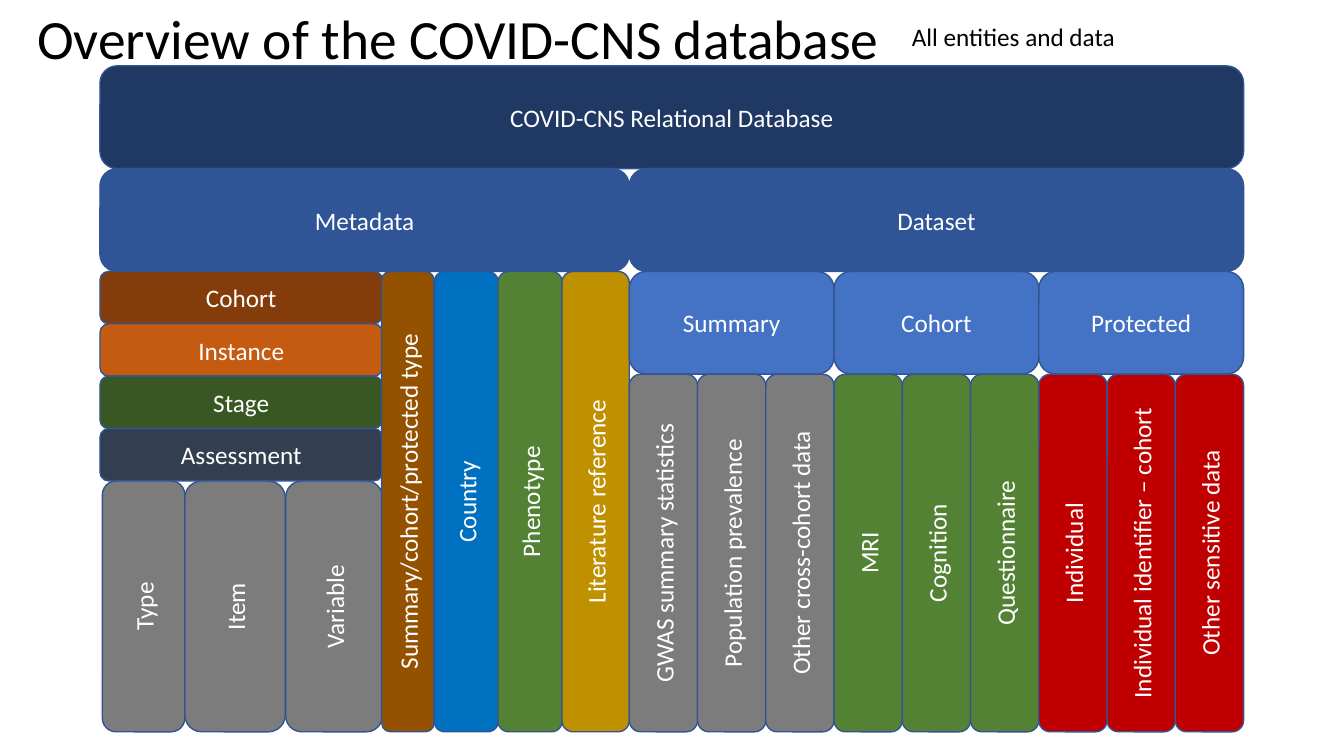
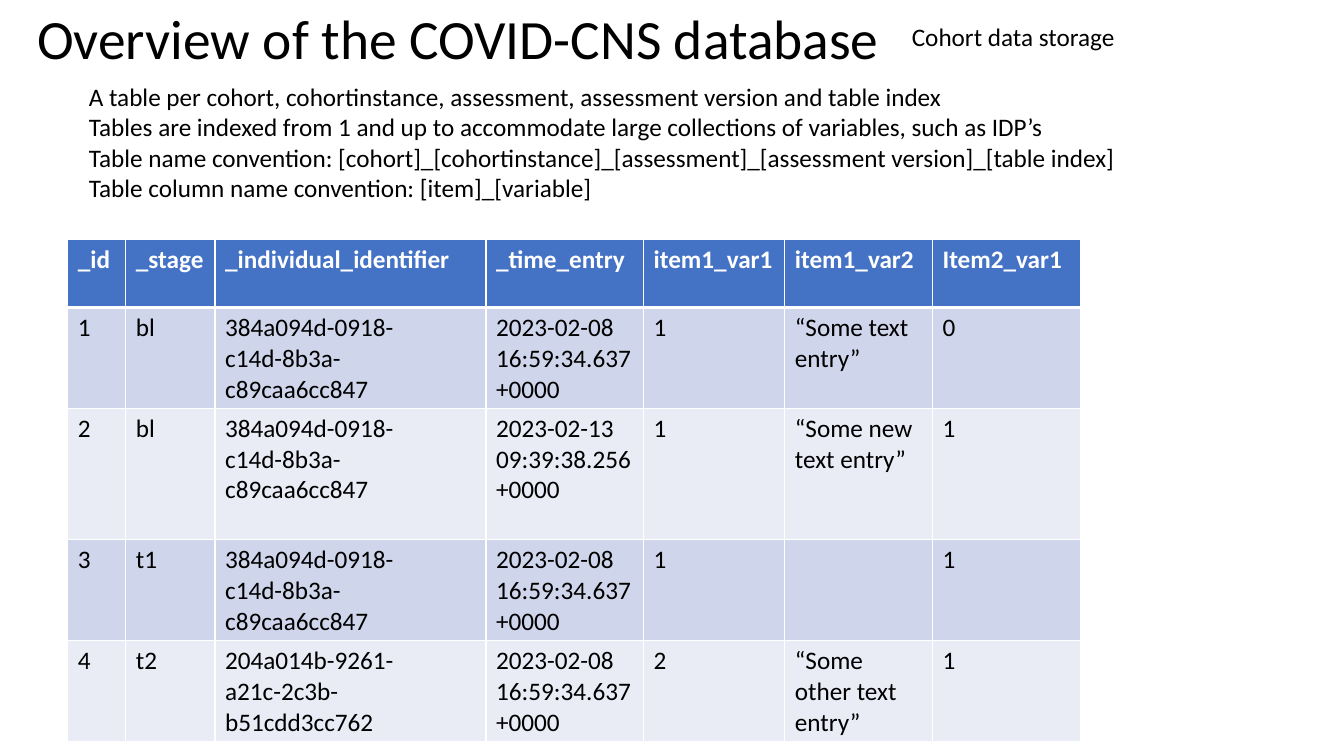
from lxml import etree
from pptx import Presentation
from pptx import util as u
from pptx.dml import color
from pptx.enum import shapes, text

HUES = {
    "black": "000000", "white": "FFFFFF", "edge": "325491",
    "navy": "203864", "blue": "2F5597", "sky": "4472C4", "azure": "0070C0",
    "rust": "843C0B", "orange": "C55A11", "pine": "385723", "slate": "333F50",
    "grey": "7C7C7C", "brown": "945200", "green": "548235", "gold": "BF9000",
    "red": "C00000", "dark": "CFD5EA", "light": "E9EBF5",
}
RGB = {name: color.RGBColor.from_string(code) for name, code in HUES.items()}
MID = text.MSO_ANCHOR.MIDDLE


def write(par, words, hue="black", size=18, bold=False):
    for num, line in enumerate(words.split("\n")):
        if num:
            par.add_line_break()
        run = par.add_run()
        run.text = line
        run.font.name = "Calibri"
        run.font.size = u.Pt(size)
        run.font.bold = bold
        run.font.color.rgb = RGB[hue]


def block(x, y, wide, high, words, hue, turn=False):
    if turn:
        x, y = x + (wide - high) / 2, y + (high - wide) / 2
        wide, high = high, wide
    box = slide.shapes.add_shape(shapes.MSO_SHAPE.ROUNDED_RECTANGLE,
                                 u.Cm(x), u.Cm(y), u.Cm(wide), u.Cm(high))
    box.rotation = 270 if turn else 0
    box.shadow.inherit = False
    box.fill.solid()
    box.fill.fore_color.rgb = RGB[hue]
    box.line.color.rgb = RGB["edge"]
    box.line.width = u.Pt(1)
    box.text_frame.vertical_anchor = MID
    par = box.text_frame.paragraphs[0]
    par.alignment = text.PP_ALIGN.CENTER
    write(par, words, "white")


deck = Presentation()
deck.slide_width, deck.slide_height = u.Cm(33.87), u.Cm(19.05)

pages = []
for topic in ["All entities and data", "Cohort data storage"]:
    slide = deck.slides.add_slide(deck.slide_layouts[6])
    pages.append(slide)
    title = slide.shapes.add_textbox(u.Cm(0.69), u.Cm(0), u.Cm(22.55), u.Cm(2.1)).text_frame
    title.word_wrap = True
    title.vertical_anchor = MID
    title.paragraphs[0].line_spacing = 0.9
    write(title.paragraphs[0], "Overview of the COVID-CNS database", size=39.6)
    label = slide.shapes.add_textbox(u.Cm(22.73), u.Cm(0.42), u.Cm(11), u.Cm(1.02)).text_frame
    label.word_wrap = True
    write(label.paragraphs[0], topic)

slide = pages[0]
LEFT, HALF, RIGHT = 2.52, 15.86, 31.34
TOP, TIER, BASE = 1.66, 2.59, 18.44
block(LEFT, TOP, RIGHT - LEFT, TIER, "COVID-CNS Relational Database", "navy")
block(LEFT, TOP + TIER, HALF - LEFT, TIER, "Metadata", "blue")
block(HALF, TOP + TIER, RIGHT - HALF, TIER, "Dataset", "blue")

third = TOP + 2 * TIER
step, span = 1.32, 7.12
levels = [("Cohort", "rust"), ("Instance", "orange"), ("Stage", "pine"), ("Assessment", "slate")]
for row, (words, hue) in enumerate(levels):
    block(LEFT, third + row * step, span, step, words, hue)

leaf = third + len(levels) * step
metas = [
    ("Type", "grey", 2.58, 2.08, leaf), ("Item", "grey", 4.66, 2.53, leaf),
    ("Variable", "grey", 7.2, 2.44, leaf),
    ("Summary/cohort/protected type", "brown", 9.62, 1.32, third),
    ("Country", "azure", 10.94, 1.62, third), ("Phenotype", "green", 12.55, 1.62, third),
    ("Literature reference", "gold", 14.16, 1.7, third),
]
for words, hue, x, wide, y in metas:
    block(x, y, wide, BASE - y, words, hue, True)

groups = [
    ("Summary", "grey", ["GWAS summary statistics", "Population prevalence",
                         "Other cross-cohort data"]),
    ("Cohort", "green", ["MRI", "Cognition", "Questionnaire"]),
    ("Protected", "red", ["Individual", "Individual identifier – cohort",
                          "Other sensitive data"]),
]
group = (RIGHT - HALF) / len(groups)
lower = third + TIER
for num, (head, hue, parts) in enumerate(groups):
    x = HALF + num * group
    block(x, third, group, TIER, head, "sky")
    wide = group / len(parts)
    for col, words in enumerate(parts):
        block(x + col * wide, lower, wide, BASE - lower, words, hue, True)

slide = pages[1]
rows = [
    ["_id", "_stage", "_individual_identifier", "_time_entry",
     "item1_var1", "item1_var2", "Item2_var1"],
    ["1", "bl", "384a094d-0918-c14d-8b3a-c89caa6cc847", "2023-02-08 16:59:34.637 +0000",
     "1", "“Some text entry”", "0"],
    ["2", "bl", "384a094d-0918-c14d-8b3a-c89caa6cc847", "2023-02-13 09:39:38.256 +0000",
     "1", "“Some new text entry”", "1"],
    ["3", "t1", "384a094d-0918-c14d-8b3a-c89caa6cc847", "2023-02-08 16:59:34.637 +0000",
     "1", "", "1"],
    ["4", "t2", "204a014b-9261-a21c-2c3b-b51cdd3cc762", "2023-02-08 16:59:34.637 +0000",
     "2", "“Some other text entry”", "1"],
]
wides = [1.46, 2.25, 6.83, 3.97, 3.56, 3.72, 3.74]
highs = [1.72, 2.54, 3.31, 2.54, 2.54]
grid = slide.shapes.add_table(len(rows), len(wides), u.Cm(1.71), u.Cm(6.03),
                              u.Cm(sum(wides)), u.Cm(sum(highs))).table
for col, wide in zip(grid.columns, wides):
    col.width = u.Cm(wide)
for row, high in zip(grid.rows, highs):
    row.height = u.Cm(high)

NS = "http://schemas.openxmlformats.org/drawingml/2006/main"
for r, row in enumerate(rows):
    for c, words in enumerate(row):
        cell = grid.cell(r, c)
        props = cell._tc.get_or_add_tcPr()
        for side in "LRTB":
            thick = 3 if (r, side) in [(0, "B"), (1, "T")] else 1
            line = etree.SubElement(props, f"{{{NS}}}ln{side}", w=str(u.Pt(thick)))
            fill = etree.SubElement(line, f"{{{NS}}}solidFill")
            etree.SubElement(fill, f"{{{NS}}}srgbClr", val=HUES["white"])
        cell.fill.solid()
        cell.fill.fore_color.rgb = RGB["sky" if r == 0 else "dark" if r % 2 else "light"]
        if words:
            write(cell.text_frame.paragraphs[0], words, "black" if r else "white", bold=r == 0)

notes = [
    "A table per cohort, cohortinstance, assessment, assessment version and table index\n"
    "Tables are indexed from 1 and up to accommodate large collections of variables, such as IDP’s",
    "Table name convention: [cohort]_[cohortinstance]_[assessment]_[assessment version]_[table index]",
    "Table column name convention: [item]_[variable]",
]
frame = slide.shapes.add_textbox(u.Cm(1.99), u.Cm(1.93), u.Cm(29.9), u.Cm(4.1)).text_frame
frame.word_wrap = True
for num, words in enumerate(notes):
    write(frame.add_paragraph() if num else frame.paragraphs[0], words)

deck.save("out.pptx")
